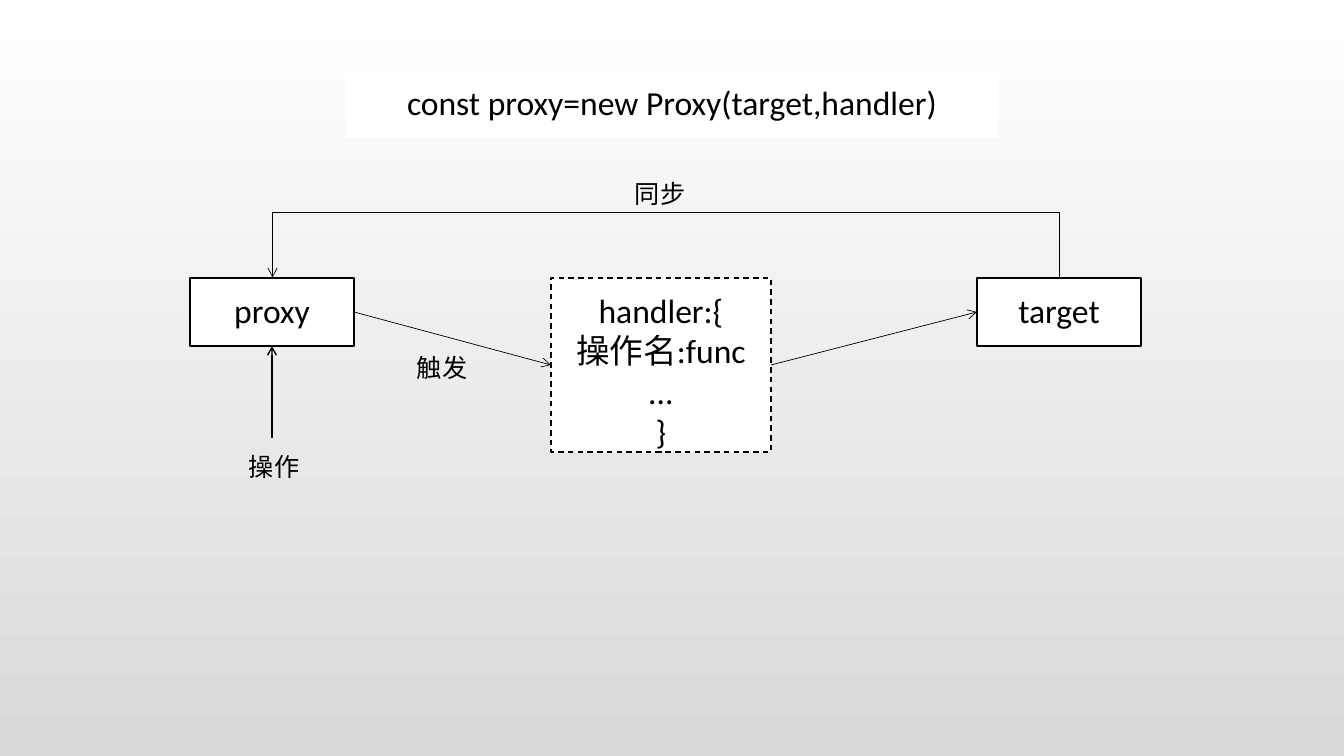
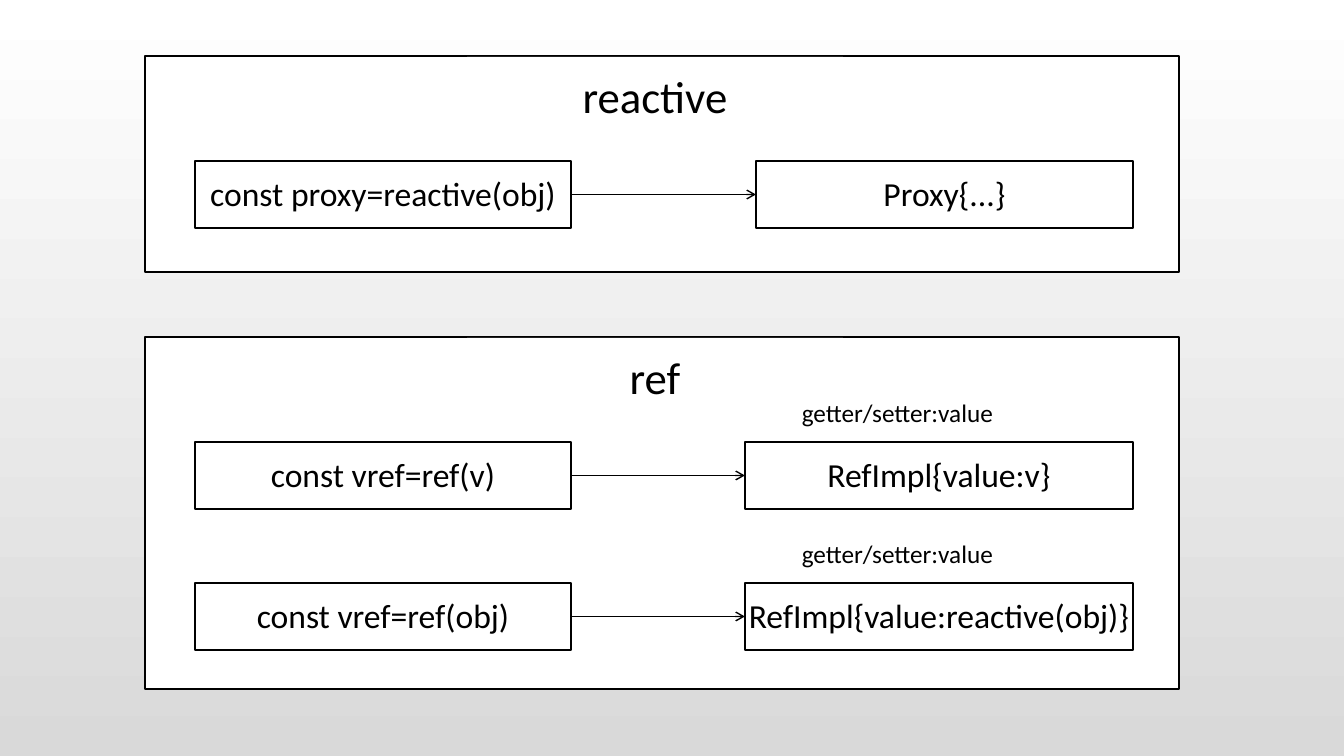
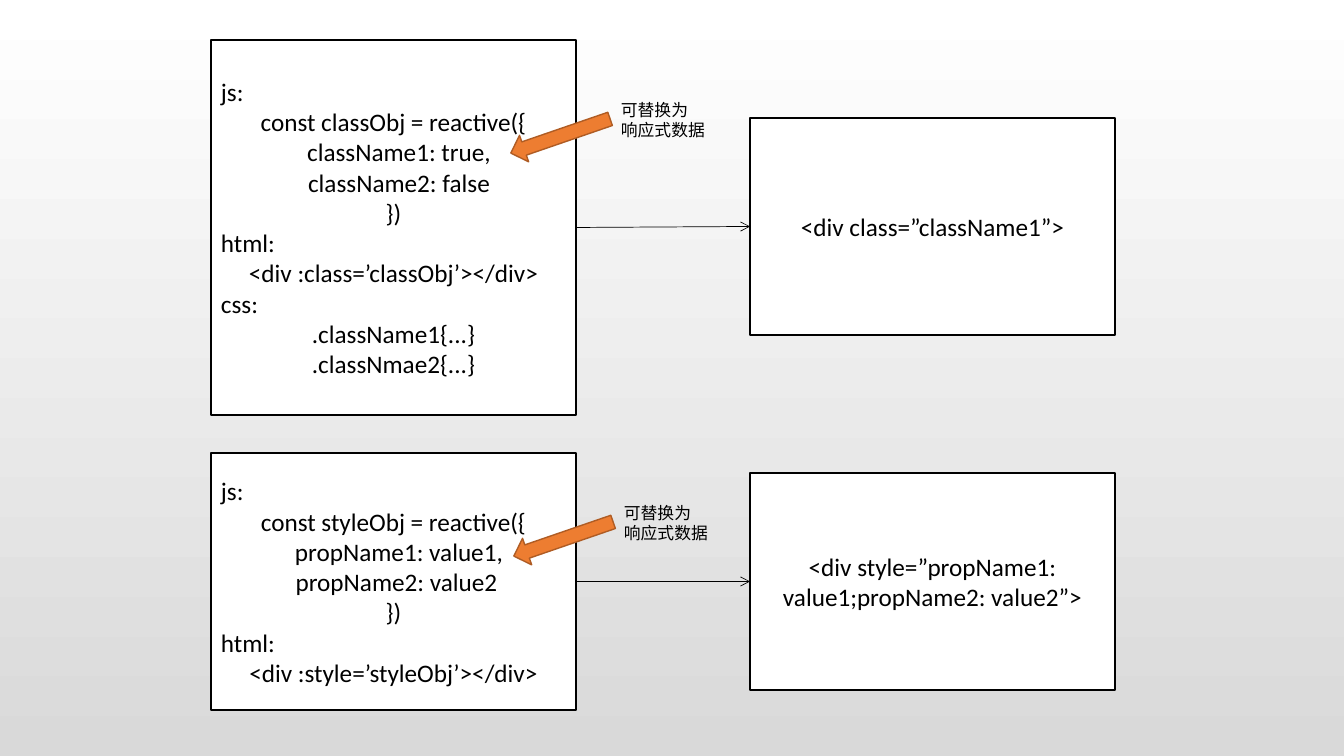
import lxml.etree
import pptx
import pptx.dml.color
import pptx.enum.dml
import pptx.enum.shapes
import pptx.enum.text
import pptx.oxml.ns
import pptx.util

SLIDE_WIDTH, SLIDE_HEIGHT = 1344, 756
SCALE = 12192000 / SLIDE_WIDTH
FONT = "Calibri"
BLACK, WHITE, GREY = "000000", "FFFFFF", "D9D9D9"
ORANGE, BROWN = "ED7D31", "AF5C24"
TITLE_ONLY, BLANK = 5, 6
TOP, LEFT, BOTTOM, RIGHT = range(4)
CENTER = pptx.enum.text.PP_ALIGN.CENTER
SHAPES = pptx.enum.shapes.MSO_SHAPE
CONNECTORS = pptx.enum.shapes.MSO_CONNECTOR


def px(length):
    return pptx.util.Emu(round(length * SCALE))


def rgb(color):
    return pptx.dml.color.RGBColor.from_string(color)


def add_xml(parent, tag, **attributes):
    return lxml.etree.SubElement(parent, pptx.oxml.ns.qn(tag), attributes)


def paint_background(master):
    fill = master.background.fill
    fill.gradient()
    fill.gradient_angle = 270
    for stop, color in zip(fill.gradient_stops, (WHITE, GREY)):
        stop.color.rgb = rgb(color)


def write(shape, lines, size, align=None):
    frame = shape.text_frame
    frame.word_wrap = True
    frame.text = "\n".join(lines)
    for paragraph in frame.paragraphs:
        paragraph.alignment = align
        paragraph.font.size = pptx.util.Pt(size)
        paragraph.font.name = FONT
        paragraph.font.bold = False
        paragraph.font.color.rgb = rgb(BLACK)
    return frame


def caption(shape, lines, size):
    frame = write(shape, lines, size, CENTER)
    frame.auto_size = pptx.enum.text.MSO_AUTO_SIZE.NONE
    frame.vertical_anchor = pptx.enum.text.MSO_ANCHOR.TOP
    frame.margin_left = frame.margin_right = frame.margin_bottom = 0
    frame.margin_top = px(12)


def add_title(slide, text, *bounds):
    title = slide.shapes.title
    title.left, title.top, title.width, title.height = map(px, bounds)
    title.fill.solid()
    title.fill.fore_color.rgb = rgb(WHITE)
    caption(title, [text], 24)


def add_box(slide, *bounds, kind=SHAPES.RECTANGLE, fill=WHITE, line=BLACK):
    box = slide.shapes.add_shape(kind, *map(px, bounds))
    box.shadow.inherit = False
    box.fill.solid()
    box.fill.fore_color.rgb = rgb(fill)
    if line:
        box.line.color.rgb = rgb(line)
        box.line.width = pptx.util.Pt(1)
    else:
        box.line.fill.background()
    return box


def add_node(slide, lines, *bounds, size=24, line=BLACK):
    node = add_box(slide, *bounds, line=line)
    caption(node, lines, size)
    return node


def add_label(slide, lines, *bounds, size=18):
    label = slide.shapes.add_textbox(*map(px, bounds))
    write(label, lines, size).auto_size = pptx.enum.text.MSO_AUTO_SIZE.SHAPE_TO_FIT_TEXT


def add_code(slide, lines, *bounds):
    code = add_box(slide, *bounds)
    frame = write(code, [text for text, _ in lines], 18)
    frame.vertical_anchor = pptx.enum.text.MSO_ANCHOR.MIDDLE
    for paragraph, (_, indent) in zip(frame.paragraphs, lines):
        if indent is None:
            paragraph.alignment = pptx.enum.text.PP_ALIGN.LEFT
        else:
            paragraph.alignment = CENTER
            paragraph._p.get_or_add_pPr().set("marL", str(px(indent)))
    return code


def add_arrow(slide, start, end, width, kind=CONNECTORS.STRAIGHT):
    arrow = slide.shapes.add_connector(kind, 0, 0, 0, 0)
    if isinstance(start[0], int):
        arrow.begin_x, arrow.begin_y = map(px, start)
    else:
        arrow.begin_connect(*start)
    arrow.end_connect(*end)
    arrow.line.color.rgb = rgb(BLACK)
    arrow.line.width = pptx.util.Pt(width)
    add_xml(arrow.line._get_or_add_ln(), "a:tailEnd", type="arrow")
    add_xml(arrow._element.spPr, "a:effectLst")
    return arrow


def add_sync_arrow(slide, target, proxy, rise):
    sync = add_arrow(slide, (target, TOP), (proxy, TOP), 0.5, CONNECTORS.ELBOW)
    center = (sync.begin_x + sync.end_x) // 2
    span = abs(sync.end_x - sync.begin_x)
    sync.left, sync.top = center, target.top - span // 2
    sync.width, sync.height = px(1), span
    frame = sync._element.spPr.find(pptx.oxml.ns.qn("a:xfrm"))
    frame.attrib.pop("flipH", None)
    frame.set("rot", "16200000")
    frame.set("flipV", "1")
    geometry = sync._element.spPr.find(pptx.oxml.ns.qn("a:prstGeom"))
    adjustments = geometry.find(pptx.oxml.ns.qn("a:avLst"))
    add_xml(adjustments, "a:gd", name="adj1", fmla=f"val {rise * 100000}")


def build_proxy(deck):
    slide = deck.slides.add_slide(deck.slide_layouts[TITLE_ONLY])
    add_title(slide, "const proxy=new Proxy(target,handler)", 345, 70, 654, 68)
    proxy = add_node(slide, ["proxy"], 190, 278, 164, 68)
    handler = add_node(slide, ["handler:{", "操作名:func", "...", "}"], 551, 278, 220, 174)
    handler.line.dash_style = pptx.enum.dml.MSO_LINE.DASH
    target = add_node(slide, ["target"], 977, 278, 164, 68)
    add_arrow(slide, (272, 438), (proxy, BOTTOM), 1)
    add_arrow(slide, (proxy, RIGHT), (handler, LEFT), 0.5)
    add_arrow(slide, (handler, RIGHT), (target, LEFT), 0.5)
    add_sync_arrow(slide, target, proxy, 67)
    for text, left, top in (("操作", 239, 446), ("触发", 407, 347), ("同步", 625, 173)):
        add_label(slide, [text], left, top, 79, 40)


def add_panel(slide, heading, top, height, result_left, rows):
    add_box(slide, 145, top, 1034, height)
    add_node(slide, [heading], 467, top + 1, 376, 88, size=32, line=None)
    for index, (call, result, accessor) in enumerate(rows):
        row_top = top + 105 + 141 * index
        source = add_node(slide, [call], 195, row_top, 376, 67)
        product = add_node(slide, [result], result_left, row_top, 1133 - result_left, 67)
        add_arrow(slide, (source, RIGHT), (product, LEFT), 1)
        if accessor:
            add_label(slide, [accessor], 792, row_top - 50, 235, 40)


def build_reactive_and_ref(deck):
    slide = deck.slides.add_slide(deck.slide_layouts[BLANK])
    accessor = "getter/setter:value"
    add_panel(slide, "reactive", 56, 216, 756,
              [("const proxy=reactive(obj)", "Proxy{...}", None)])
    add_panel(slide, "ref", 337, 352, 745,
              [("const vref=ref(v)", "RefImpl{value:v}", accessor),
               ("const vref=ref(obj)", "RefImpl{value:reactive(obj)}", accessor)])


def add_binding(slide, lines, code_top, code_height, result, result_top):
    code = add_code(slide, lines, 211, code_top, 365, code_height)
    rendered = add_code(slide, [(result, 0)], 750, result_top, 365, 217)
    add_arrow(slide, (code, RIGHT), (rendered, LEFT), 0.5)


def add_hint(slide, left, top):
    pointer = add_box(slide, left, top, 105, 28, kind=SHAPES.LEFT_ARROW,
                      fill=ORANGE, line=BROWN)
    pointer.rotation = 341
    add_label(slide, ["可替换为", "响应式数据"], left + 103, top - 27, 108, 50, size=12)


def build_bindings(deck):
    slide = deck.slides.add_slide(deck.slide_layouts[BLANK])
    class_lines = [
        ("js:", None),
        ("const classObj = reactive({", 0),
        ("className1: true,", 11),
        ("className2: false", 11),
        ("})", 0),
        ("html:", None),
        ("<div :class=’classObj’></div>", 0),
        ("css:", None),
        (".className1{...}", 0),
        (".classNmae2{...}", 0),
    ]
    style_lines = [
        ("js:", None),
        ("const styleObj = reactive({", 0),
        ("propName1: value1,", 11),
        ("propName2: value2", 6),
        ("})", 0),
        ("html:", None),
        ("<div :style=’styleObj’></div>", 0),
    ]
    add_binding(slide, class_lines, 40, 375, "<div class=”className1”>", 118)
    add_binding(slide, style_lines, 453, 257,
                "<div style=”propName1: value1;propName2: value2”>", 473)
    add_hint(slide, 508, 122)
    add_hint(slide, 511, 525)


def main():
    deck = pptx.Presentation()
    deck.slide_width, deck.slide_height = px(SLIDE_WIDTH), px(SLIDE_HEIGHT)
    paint_background(deck.slide_master)
    build_proxy(deck)
    build_reactive_and_ref(deck)
    build_bindings(deck)
    deck.save("out.pptx")


if __name__ == "__main__":
    main()
